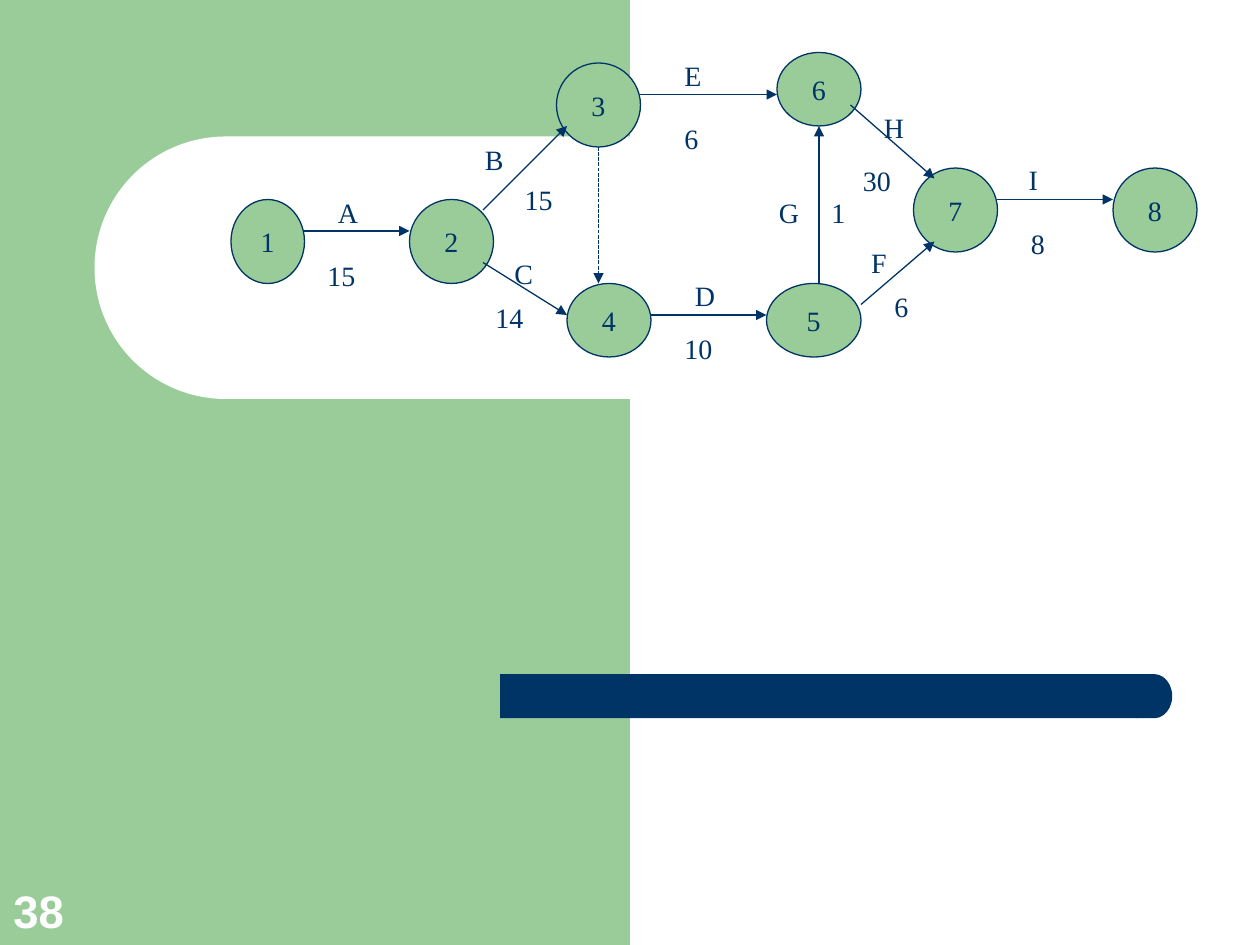
from lxml import etree
from pptx import Presentation
from pptx.dml.color import RGBColor
from pptx.enum.dml import MSO_LINE
from pptx.enum.shapes import MSO_CONNECTOR, MSO_SHAPE
from pptx.enum.text import MSO_ANCHOR, MSO_AUTO_SIZE, PP_ALIGN
from pptx.oxml.ns import qn
from pptx.util import Inches, Pt

RECTANGLE, ROUNDED = MSO_SHAPE.RECTANGLE, MSO_SHAPE.ROUNDED_RECTANGLE
OVAL, DELAY = MSO_SHAPE.OVAL, MSO_SHAPE.FLOWCHART_DELAY
STRAIGHT, DOTTED = MSO_CONNECTOR.STRAIGHT, MSO_LINE.SQUARE_DOT
TOP, MIDDLE, BOTTOM = MSO_ANCHOR.TOP, MSO_ANCHOR.MIDDLE, MSO_ANCHOR.BOTTOM
LEFT, CENTER = PP_ALIGN.LEFT, PP_ALIGN.CENTER

COLORS = {"green": "99CC99", "navy": "003366", "white": "FFFFFF"}

# All places are in cells of a grid with twelve columns and rows to the inch.
CELLS_PER_INCH = 12
COLUMNS, ROWS = 120, 90
LABEL_ROWS = 4.4

# kind, (column, row, columns, rows), colour
BACKDROP = [
    (RECTANGLE, (0, 0, COLUMNS / 2, ROWS), "green"),
    (ROUNDED, (9, 13, 68, 25), "white"),
    (RECTANGLE, (47.64, 64.2, 60.7, 4.2), "navy"),
    (DELAY, (108.24, 64.2, 3.4, 4.2), "navy"),
]

EVENTS = {
    "1": (22, 19, 7, 8),
    "2": (39, 19, 8, 8),
    "3": (53, 6, 8, 8),
    "4": (54, 27, 8, 7),
    "6": (74, 5, 8, 7),
    "5": (73, 27, 9, 7),
    "7": (87, 16, 8, 8),
    "8": (106, 16, 8, 8),
}

# start, end, then (text, column, row, columns) of the name and the duration
ACTIVITIES = [
    ((29, 22), (39, 22), ("A", 31, 18, 4), ("15", 30, 24, 8)),
    ((46, 20), (54, 12), ("B", 45, 13, 3.4), ("15", 48.8, 16.8, 6)),
    ((46, 25), (54, 30), ("C", 47.8, 23.8, 4.2), ("14", 46, 28, 7)),
    ((62, 30), (73, 30), ("D", 65, 25.9, 4), ("10", 64, 31, 8)),
    ((61, 9), (74, 9), ("E", 64, 5, 3), ("6", 64, 11, 5)),
    ((82, 29), (89, 23), ("F", 81.8, 22.8, 3.8), ("6", 84, 27, 8)),
    ((78, 27), (78, 12), ("G", 73, 18, 4), ("1", 78, 18, 3)),
    ((81, 10), (89, 17), ("H", 83, 9.9, 5), ("30", 81, 15, 8)),
    ((95, 19), (106, 19), ("I", 96.8, 14.9, 2.4), ("8", 97, 21, 4)),
]
DUMMY_ACTIVITY = ((57, 14), (57, 27))

SLIDE_NUMBER = "38"
NUMBER_BOX = (0.1, 83.4, 7.7, 6.5)


def grid(*cells):
    return [Inches(cell / CELLS_PER_INCH) for cell in cells]


def color(name):
    return RGBColor.from_string(COLORS[name])


def write(shape, text, size=16, font="Times New Roman", ink="navy", bold=False,
          align=LEFT, anchor=TOP, wrap=True):
    frame = shape.text_frame
    frame.word_wrap = wrap
    frame.vertical_anchor = anchor
    paragraph = frame.paragraphs[0]
    paragraph.alignment = align
    run = paragraph.add_run()
    run.text = text
    run.font.size, run.font.name, run.font.bold = Pt(size), font, bold
    run.font.color.rgb = color(ink)


def add_filled(slide, kind, cells, fill, outline=None):
    shape = slide.shapes.add_shape(kind, *grid(*cells))
    shape.shadow.inherit = False
    shape.fill.solid()
    shape.fill.fore_color.rgb = color(fill)
    if outline:
        shape.line.color.rgb = color(outline)
        shape.line.width = Pt(0.75)
    else:
        shape.line.fill.background()
    if kind == ROUNDED:
        shape.adjustments[0] = 0.5
    return shape


def add_arrow(slide, start, end, dash=None):
    arrow = slide.shapes.add_connector(STRAIGHT, *grid(*start, *end))
    arrow.line.color.rgb = color("navy")
    arrow.line.width = Pt(0.75)
    if dash:
        arrow.line.dash_style = dash
    properties = arrow.element.spPr
    etree.SubElement(properties.find(qn("a:ln")), qn("a:tailEnd"), type="triangle")
    etree.SubElement(properties, qn("a:effectLst"))


def add_label(slide, text, column, row, columns):
    label = slide.shapes.add_textbox(*grid(column, row, columns, LABEL_ROWS))
    write(label, text)
    label.text_frame.auto_size = MSO_AUTO_SIZE.SHAPE_TO_FIT_TEXT


def main():
    presentation = Presentation()
    presentation.slide_width, presentation.slide_height = grid(COLUMNS, ROWS)
    slide = presentation.slides.add_slide(presentation.slide_layouts[6])

    for kind, cells, fill in BACKDROP:
        add_filled(slide, kind, cells, fill)
    for name, cells in EVENTS.items():
        event = add_filled(slide, OVAL, cells, "green", outline="navy")
        write(event, name, align=CENTER, anchor=MIDDLE, wrap=False)
    for start, end, *labels in ACTIVITIES:
        add_arrow(slide, start, end)
        for label in labels:
            add_label(slide, *label)
    add_arrow(slide, *DUMMY_ACTIVITY, dash=DOTTED)

    number = slide.shapes.add_textbox(*grid(*NUMBER_BOX))
    write(number, SLIDE_NUMBER, size=26, font="Arial", ink="white", bold=True,
          anchor=BOTTOM)
    presentation.save("out.pptx")


if __name__ == "__main__":
    main()
